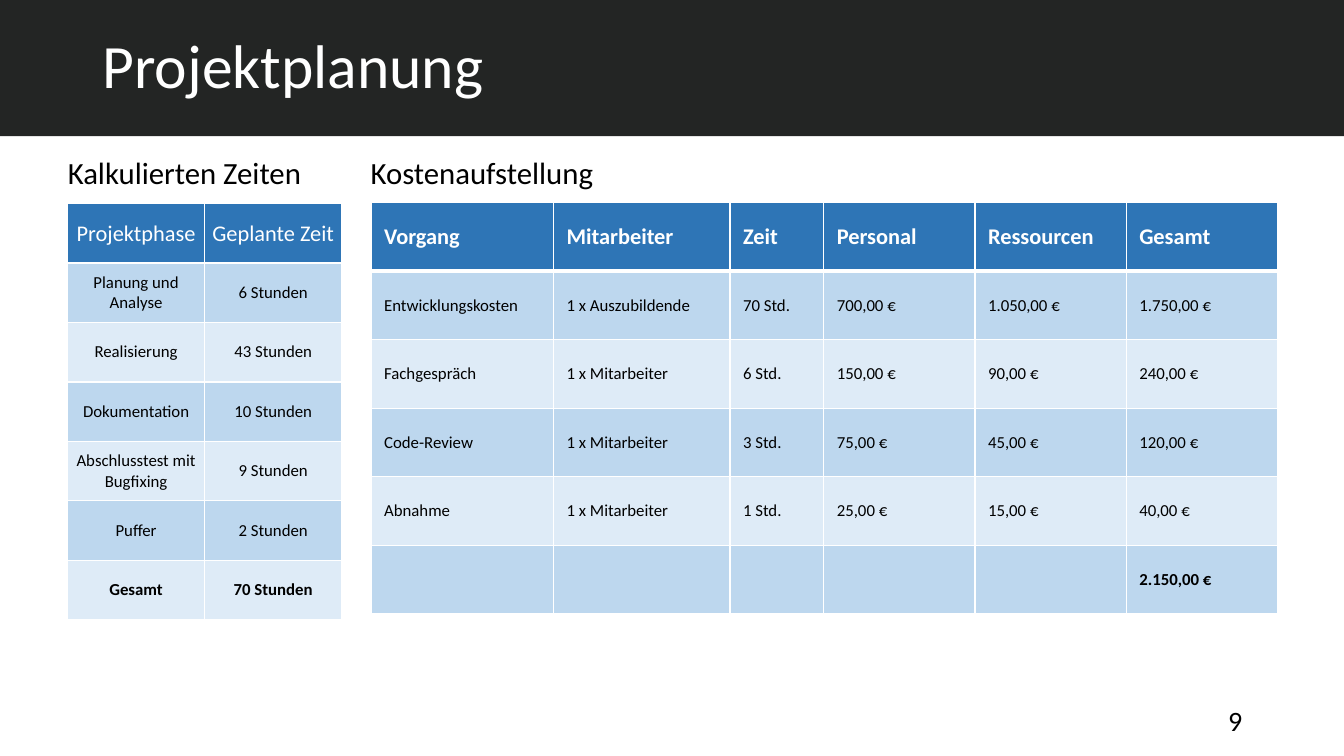
from lxml import etree
from pptx import Presentation
from pptx.dml.color import RGBColor
from pptx.enum.shapes import MSO_SHAPE
from pptx.enum.text import MSO_ANCHOR, PP_ALIGN
from pptx.oxml.ns import qn
from pptx.util import Inches, Pt

RECT = MSO_SHAPE.RECTANGLE
TOP, MIDDLE = MSO_ANCHOR.TOP, MSO_ANCHOR.MIDDLE
LEFT, CENTER, RIGHT = PP_ALIGN.LEFT, PP_ALIGN.CENTER, PP_ALIGN.RIGHT

COLORS = {
    "dark": "232524",
    "white": "FFFFFF",
    "black": "000000",
    "head": "2E75B6",
    "odd": "BDD7EE",
    "even": "DEEBF7",
}

TIMES = [
    ["Projektphase", "Geplante Zeit"],
    ["Planung und Analyse", "6 Stunden"],
    ["Realisierung", "43 Stunden"],
    ["Dokumentation", "10 Stunden"],
    ["Abschlusstest mit Bugfixing", "9 Stunden"],
    ["Puffer", "2 Stunden"],
    ["Gesamt", "70 Stunden"],
]
COSTS = [
    ["Vorgang", "Mitarbeiter", "Zeit", "Personal", "Ressourcen", "Gesamt"],
    ["Entwicklungskosten", "1 x Auszubildende", "70 Std.", "700,00 €", "1.050,00 €", "1.750,00 €"],
    ["Fachgespräch", "1 x Mitarbeiter", "6 Std.", "150,00 €", "90,00 €", "240,00 €"],
    ["Code-Review", "1 x Mitarbeiter", "3 Std.", "75,00 €", "45,00 €", "120,00 €"],
    ["Abnahme", "1 x Mitarbeiter", "1 Std.", "25,00 €", "15,00 €", "40,00 €"],
    ["", "", "", "", "", "2.150,00 €"],
]


class Page:
    font = "Calibri"

    def __init__(self, slide):
        self.slide = slide

    def color(self, name):
        return RGBColor.from_string(COLORS[name])

    def style(self, frame, text, size, color, align, bold=False):
        frame.text = text
        para = frame.paragraphs[0]
        para.alignment = align
        for run in para.runs:
            run.font.name = self.font
            run.font.size = Pt(size)
            run.font.bold = bold
            run.font.color.rgb = self.color(color)
        return para

    def band(self, left, top, width, height, color):
        shape = self.slide.shapes.add_shape(
            RECT, Inches(left), Inches(top), Inches(width), Inches(height))
        shape.shadow.inherit = False
        shape.fill.solid()
        shape.fill.fore_color.rgb = self.color(color)
        shape.line.fill.background()

    def label(self, box, text, size, color="black", align=LEFT, anchor=MIDDLE):
        frame = self.slide.shapes.add_textbox(*map(Inches, box)).text_frame
        frame.word_wrap = True
        frame.vertical_anchor = anchor
        return self.style(frame, text, size, color, align)

    def border(self, cell, top, bottom):
        props = cell._tc.get_or_add_tcPr()
        for side, width in (("L", 1), ("R", 1), ("T", top), ("B", bottom)):
            line = etree.SubElement(props, qn(f"a:ln{side}"), w=str(Pt(width)))
            fill = etree.SubElement(line, qn("a:solidFill"))
            etree.SubElement(fill, qn("a:srgbClr"), val=COLORS["white"])

    def table(self, left, top, widths, height, rows, align, pad, bold, rule):
        table = self.slide.shapes.add_table(
            len(rows), len(widths), Inches(left), Inches(top),
            Inches(sum(widths)), Inches(height * len(rows))).table
        for col, width in zip(table.columns, widths):
            col.width = Inches(width)
        for r, texts in enumerate(rows):
            table.rows[r].height = Inches(height)
            head, total = r == 0, r == len(rows) - 1
            tone = "head" if head else "odd" if r % 2 else "even"
            for c, text in enumerate(texts):
                cell = table.cell(r, c)
                cell.vertical_anchor = MIDDLE
                cell.margin_left = cell.margin_right = Inches(pad)
                cell.margin_top = cell.margin_bottom = Inches(pad / 2)
                self.border(cell, rule if r == 1 else 1, rule if head else 1)
                cell.fill.solid()
                cell.fill.fore_color.rgb = self.color(tone)
                self.style(cell.text_frame, text, 16 if head else 12,
                           "white" if head else "black", align,
                           bold if head else total)


def main():
    deck = Presentation()
    deck.slide_width, deck.slide_height = Inches(13.33), Inches(7.5)
    page = Page(deck.slides.add_slide(deck.slide_layouts[6]))

    # Title band
    page.band(0, 0, 13.33, 1.35, "dark")
    title = page.label((0.92, 0.2, 11.5, 0.95), "Projektplanung", 44, "white")
    title.line_spacing = 0.9

    # Page number
    page.label((9.42, 6.95, 3, 0.4), "9", 20, align=RIGHT)

    # Planned times
    page.label((0.51, 1.48, 2.64, 0.47), "Kalkulierten Zeiten", 22,
               align=CENTER, anchor=TOP)
    page.table(0.67, 2.02, [1.36] * 2, 0.59, TIMES, CENTER, 0.06, False, 1)

    # Costs
    page.label((3.56, 1.48, 2.44, 0.47), "Kostenaufstellung", 22,
               align=CENTER, anchor=TOP)
    page.table(3.68, 2.01, [1.81, 1.75, 0.93] + [1.5] * 3, 0.68, COSTS,
               LEFT, 0.13, True, 3)

    deck.save("out.pptx")


if __name__ == "__main__":
    main()
